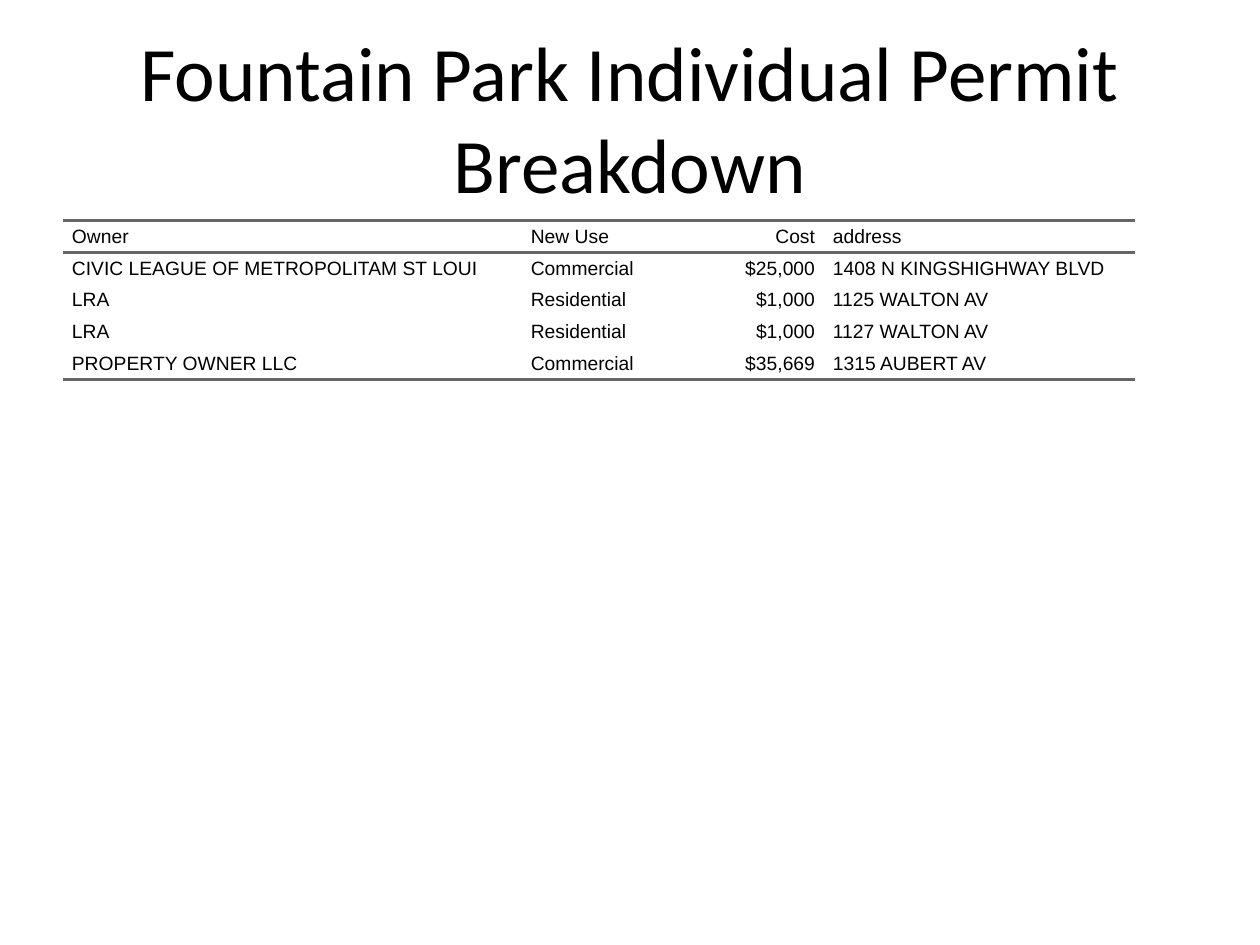
"""Build the Fountain Park permit breakdown slide."""
from lxml import etree
from pptx import Presentation
from pptx import util as u
from pptx.dml.color import RGBColor
from pptx.enum import text
from pptx.oxml.ns import qn

TITLE = "Fountain Park Individual Permit Breakdown"
COLUMNS = [("Owner", 9.25), ("New Use", 2.79), ("Cost", 3.3), ("address", 6.27)]
PERMITS = [
    ("CIVIC LEAGUE OF METROPOLITAM ST LOUI", "Commercial", "$25,000", "1408 N KINGSHIGHWAY BLVD"),
    ("LRA", "Residential", "$1,000", "1125 WALTON AV"),
    ("LRA", "Residential", "$1,000", "1127 WALTON AV"),
    ("PROPERTY OWNER LLC", "Commercial", "$35,669", "1315 AUBERT AV"),
]
COLORS = {"ink": "000000", "rule": "666666"}
LEFT, ROW_HEIGHT, INDENT = 1.27, 0.64, 0.18


def style(para, font, size, align):
    """Format a paragraph and its runs."""
    para.alignment = align
    for span in para.runs:
        span.font.name = font
        span.font.size = u.Pt(size)
        span.font.color.rgb = RGBColor.from_string(COLORS["ink"])


def set_borders(cell, ruled):
    """Draw the ruled sides of a cell and clear the others."""
    props = cell._tc.get_or_add_tcPr()
    for index, side in enumerate(("lnL", "lnR", "lnT", "lnB")):
        line = etree.Element(qn(f"a:{side}"))
        if side in ruled:
            line.set("w", str(u.Pt(2)))
            fill = etree.SubElement(line, qn("a:solidFill"))
            etree.SubElement(fill, qn("a:srgbClr"), val=COLORS["rule"])
        else:
            etree.SubElement(line, qn("a:noFill"))
        props.insert(index, line)


def add_title(page):
    """Add the centred heading."""
    box = page.shapes.add_textbox(u.Cm(LEFT), u.Cm(0.76), u.Cm(22.86), u.Cm(3.18))
    frame = box.text_frame
    frame.word_wrap = True
    frame.vertical_anchor = text.MSO_ANCHOR.MIDDLE
    frame.text = TITLE
    style(frame.paragraphs[0], "Calibri", 44, text.PP_ALIGN.CENTER)


def fill_cell(cell, value, align):
    """Write one table cell."""
    cell.fill.background()
    cell.vertical_anchor = text.MSO_ANCHOR.MIDDLE
    cell.margin_left = cell.margin_right = cell.margin_top = cell.margin_bottom = 0
    cell.text_frame.text = value
    para = cell.text_frame.paragraphs[0]
    props = para._p.get_or_add_pPr()
    for name in ("marL", "marR"):
        props.set(name, str(u.Cm(INDENT)))
    props.set("indent", "0")
    para.space_after = u.Pt(5)
    style(para, "Arial", 11, align)


def add_permits(page):
    """Add the permit table."""
    rows = [[name for name, _ in COLUMNS], *PERMITS]
    width = sum(size for _, size in COLUMNS)
    table = page.shapes.add_table(
        len(rows), len(COLUMNS), u.Cm(LEFT), u.Cm(4.45), u.Cm(width), u.Cm(ROW_HEIGHT * len(rows))
    ).table
    table.first_row = table.horz_banding = False
    for column, (_, size) in zip(table.columns, COLUMNS):
        column.width = u.Cm(size)
    rules = {0: ("lnT", "lnB"), 1: ("lnT",), len(rows) - 1: ("lnB",)}
    for r, row in enumerate(rows):
        table.rows[r].height = u.Cm(ROW_HEIGHT)
        for c, value in enumerate(row):
            numeric = COLUMNS[c][0] == "Cost"
            align = text.PP_ALIGN.RIGHT if numeric else text.PP_ALIGN.LEFT
            fill_cell(table.cell(r, c), value, align)
            set_borders(table.cell(r, c), rules.get(r, ()))


def main():
    """Build and save the deck."""
    deck = Presentation()
    deck.slide_width, deck.slide_height = u.Cm(25.4), u.Cm(19.05)
    page = deck.slides.add_slide(deck.slide_layouts[6])
    add_title(page)
    add_permits(page)
    deck.save("out.pptx")


if __name__ == "__main__":
    main()
